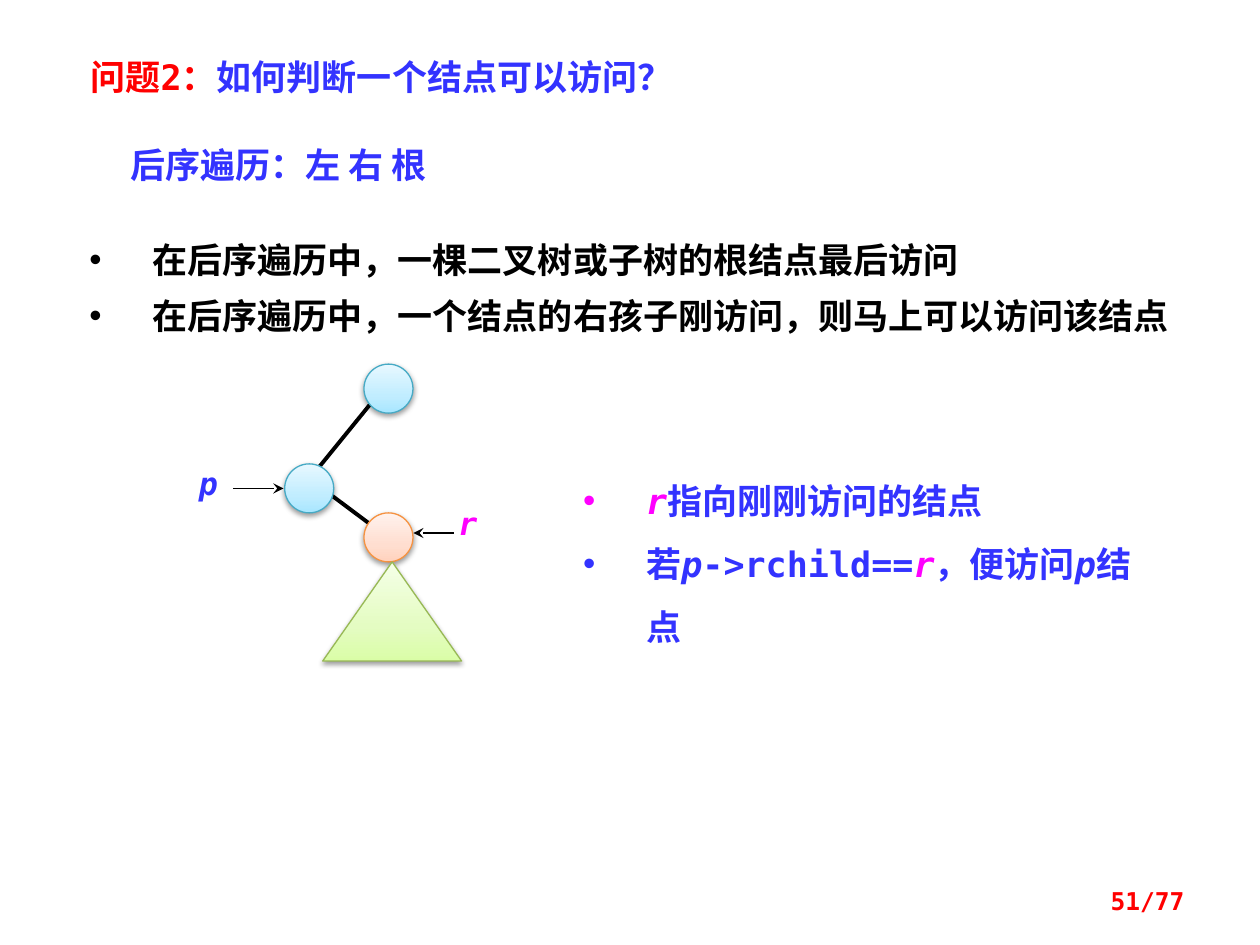
from copy import deepcopy

from lxml.etree import SubElement
from pptx import Presentation
from pptx.dml.color import RGBColor
from pptx.enum.shapes import MSO_CONNECTOR as Connector, MSO_SHAPE as Preset
from pptx.enum.text import MSO_ANCHOR as Anchor, MSO_AUTO_SIZE as AutoSize, PP_ALIGN as Align
from pptx.oxml.ns import qn
from pptx.util import Pt

MONO = "DejaVu Sans Mono"
CJK = "Noto Sans CJK SC"
BLACK = RGBColor(0x00, 0x00, 0x00)
WHITE = RGBColor(0xFF, 0xFF, 0xFF)
BLUE = RGBColor(0x33, 0x33, 0xFF)
RED = RGBColor(0xFF, 0x00, 0x00)
MAGENTA = RGBColor(0xFF, 0x00, 0xFF)
AQUA_LINE = RGBColor(0x46, 0xAA, 0xC5)
AQUA_STOPS = (RGBColor(0xA7, 0xE6, 0xFF), RGBColor(0xC1, 0xED, 0xFF), RGBColor(0xE7, 0xF8, 0xFF))
ORANGE_LINE = RGBColor(0xF6, 0x92, 0x40)
ORANGE_STOPS = (RGBColor(0xFF, 0xD2, 0xBD), RGBColor(0xFF, 0xDE, 0xD0), RGBColor(0xFF, 0xF2, 0xED))
GREEN_LINE = RGBColor(0x98, 0xB9, 0x55)
GREEN_STOPS = (RGBColor(0xDA, 0xFD, 0xA7), RGBColor(0xE4, 0xFC, 0xC2), RGBColor(0xF5, 0xFF, 0xE7))
STOP_POSITIONS = (0, 0.35, 1)
NODE_SIZE = 28


def add_text(slide, box, paragraphs, size=20, font_name=MONO, bullet=False, line_spacing=None):
    """Add a text box; each paragraph is a list of (text, colour, italic) runs."""
    shape = slide.shapes.add_textbox(*map(Pt, box))
    frame = shape.text_frame
    frame.word_wrap = True
    frame.auto_size = AutoSize.SHAPE_TO_FIT_TEXT
    for index, runs in enumerate(paragraphs):
        paragraph = frame.add_paragraph() if index else frame.paragraphs[0]
        if bullet:
            properties = paragraph._p.get_or_add_pPr()
            properties.set("marL", str(Pt(36)))
            properties.set("indent", str(Pt(-36)))
            SubElement(properties, qn("a:buFont"), typeface="Arial")
            SubElement(properties, qn("a:buChar"), char="•")
        if line_spacing:
            paragraph.line_spacing = line_spacing
        font = paragraph.font
        font.size, font.name, font.bold = Pt(size), font_name, True
        SubElement(paragraph._p.pPr.find(qn("a:defRPr")), qn("a:ea"), typeface=CJK)
        for text, color, italic in runs:
            run = paragraph.add_run()
            run.text = text
            run.font.color.rgb = color
            run.font.italic = italic
    return shape


def add_glossy_shape(slide, preset, box, stops, line_color):
    """Add a shape with an upward gradient and a soft shadow below."""
    shape = slide.shapes.add_shape(preset, *map(Pt, box))
    shape.line.color.rgb = line_color
    shape.line.width = Pt(0.75)
    shape.fill.gradient()
    shape.fill.gradient_angle = 90
    stop_list = shape._element.spPr.find(".//" + qn("a:gsLst"))
    stop_list.append(deepcopy(stop_list[0]))
    for stop, position, color in zip(shape.fill.gradient_stops, STOP_POSITIONS, stops):
        stop.position = position
        stop.color.rgb = color
    shape.shadow.inherit = False
    effects = shape._element.spPr.find(qn("a:effectLst"))
    shadow = SubElement(effects, qn("a:outerShdw"), blurRad=str(Pt(3.1)), dist=str(Pt(1.6)),
                        dir="5400000", rotWithShape="0")
    shadow_color = SubElement(shadow, qn("a:srgbClr"), val=str(BLACK))
    SubElement(shadow_color, qn("a:alpha"), val="38000")


def add_line(slide, start, end, width, arrow=False):
    """Add a black straight line, with an arrowhead at its end if asked."""
    connector = slide.shapes.add_connector(Connector.STRAIGHT, *map(Pt, start + end))
    connector.line.color.rgb = BLACK
    connector.line.width = Pt(width)
    if arrow:
        SubElement(connector.line._get_or_add_ln(), qn("a:tailEnd"), type="stealth")
    SubElement(connector._element.spPr, qn("a:effectLst"))


def add_heading(slide, left, top):
    """Place the question and the traversal order below it."""
    add_text(slide, (left, top, 450, 31.5),
             [[("问题2：", RED, False), ("如何判断一个结点可以访问？", BLUE, False)]])
    add_text(slide, (left + 23, top + 50.4, 216, 31.5),
             [[("后序遍历：左 右 根", BLUE, False)]], font_name=CJK)


def add_facts(slide, box):
    """Place the two facts about postorder traversal."""
    facts = ("在后序遍历中，一棵二叉树或子树的根结点最后访问",
             "在后序遍历中，一个结点的右孩子刚访问，则马上可以访问该结点")
    shape = add_text(slide, box, [[(fact, BLACK, False)] for fact in facts],
                     bullet=True, line_spacing=Pt(32))
    shape.fill.solid()
    shape.fill.fore_color.rgb = WHITE
    frame = shape.text_frame
    frame.margin_left = Pt(14.4)
    frame.margin_top = frame.margin_bottom = Pt(8.64)


def add_tree(slide, left, top):
    """Draw the tree with its pointers p and r."""
    def at(x, y):
        return left + x, top + y

    add_line(slide, at(106.5, 21), at(72.5, 62.8), 2.25)
    add_line(slide, at(82, 74.3), at(105, 91.5), 2.25)
    for x, y, stops, line_color in ((101.4, 0, AQUA_STOPS, AQUA_LINE),
                                    (56.1, 57, AQUA_STOPS, AQUA_LINE),
                                    (101.4, 85, ORANGE_STOPS, ORANGE_LINE)):
        add_glossy_shape(slide, Preset.OVAL, at(x, y) + (NODE_SIZE, NODE_SIZE), stops, line_color)
    add_line(slide, at(26.6, 71), at(55.4, 71), 0.75, arrow=True)
    add_line(slide, at(152.6, 96.5), at(129.6, 96.5), 0.75, arrow=True)
    add_glossy_shape(slide, Preset.ISOSCELES_TRIANGLE, at(77.8, 113) + (79.4, 56.7),
                     GREEN_STOPS, GREEN_LINE)
    add_text(slide, at(148.3, 76.4) + (33.8, 28.8), [[("r", MAGENTA, True)]], size=18)
    add_text(slide, at(0, 53.4) + (39.6, 28.8), [[("p", BLUE, True)]], size=18)


def add_rule(slide, box):
    """Place the rule that decides when p is visited."""
    add_text(slide, box, [
        [("r", MAGENTA, True), ("指向刚刚访问的结点", BLUE, False)],
        [("若", BLUE, False), ("p", BLUE, True), ("->rchild==", BLUE, False),
         ("r", MAGENTA, True), ("，便访问", BLUE, False), ("p", BLUE, True),
         ("结点", BLUE, False)],
    ], bullet=True, line_spacing=1.5)


def add_page_number(slide, box):
    """Place the page number at the right."""
    shape = add_text(slide, box, [[("51/77", RED, False)]], size=14)
    shape.text_frame.auto_size = AutoSize.NONE
    shape.text_frame.vertical_anchor = Anchor.MIDDLE
    shape.text_frame.paragraphs[0].alignment = Align.RIGHT


def main():
    """Build and save the slide."""
    presentation = Presentation()
    presentation.slide_width, presentation.slide_height = Pt(720), Pt(540)
    slide = presentation.slides.add_slide(presentation.slide_layouts[6])
    add_facts(slide, (36.7, 119.5, 643.7, 82))
    add_heading(slide, 44.6, 28.1)
    add_tree(slide, 106.6, 208.1)
    add_rule(slide, (326.2, 258.5, 332, 112.3))
    add_page_number(slide, (516.2, 500.4, 167.8, 28.8))
    presentation.save("out.pptx")


if __name__ == "__main__":
    main()
